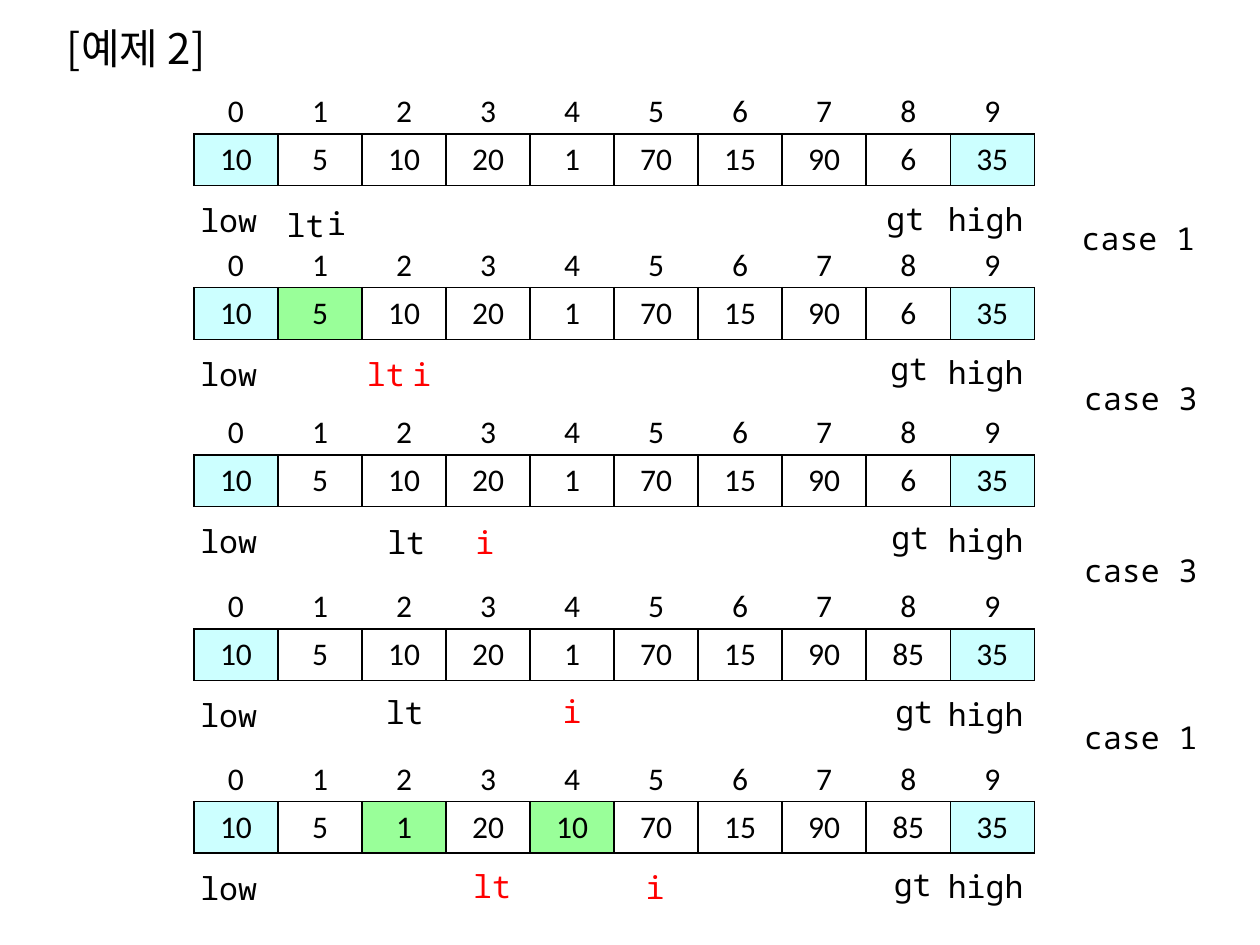
from lxml.etree import SubElement
from pptx import Presentation
from pptx.dml.color import RGBColor
from pptx.enum.text import MSO_ANCHOR as Anchor, MSO_AUTO_SIZE as AutoSize, PP_ALIGN as Align
from pptx.oxml.ns import qn
from pptx.util import Cm, Pt

BLACK, RED, CYAN, GREEN = "000000", "FF0000", "CCFFFF", "99FF99"
MONO, SANS, KOREAN = "Noto Sans Mono", "Calibri", "Noto Sans CJK KR"
ARRAY_LEFT, ARRAY_WIDTH = 3.91, 16.94
ROW_HEIGHT, VALUES_OFFSET = 1.04, 0.97
LABEL_HEIGHT = 1.02
LABEL_WIDTHS = {"low": 1.8, "high": 2.36, "lt": 1.8, "i": 1.17, "gt": 1.5}
CASE_WIDTH = 2.82

START = [10, 5, 10, 20, 1, 70, 15, 90, 6, 35]
GT_REPLACED = START[:8] + [85, 35]
SWAPPED = [10, 5, 1, 20, 10, 70, 15, 90, 85, 35]

# Marker and case positions are measured from the top left of their step.
STEPS = [
    {"top": 1.73, "numbers": START, "changed": [], "red": [],
     "markers": {"lt": (1.35, 2.29), "i": (2.29, 2.26), "gt": (13.59, 2.16)},
     "case": ("case 1", 17.63, 2.57)},
    {"top": 4.83, "numbers": START, "changed": [1], "red": ["lt", "i"],
     "markers": {"lt": (2.97, 2.21), "i": (4.01, 2.21), "gt": (13.67, 2.08)},
     "case": ("case 3", 17.68, 2.69)},
    {"top": 8.2, "numbers": START, "changed": [], "red": ["i"],
     "markers": {"lt": (3.38, 2.21), "i": (5.28, 2.21), "gt": (13.69, 2.11)},
     "case": ("case 3", 17.68, 2.79)},
    {"top": 11.71, "numbers": GT_REPLACED, "changed": [], "red": ["i"],
     "markers": {"lt": (3.35, 2.13), "i": (7.04, 2.11), "gt": (13.77, 2.11)},
     "case": ("case 1", 17.68, 2.64)},
    {"top": 15.19, "numbers": SWAPPED, "changed": [2, 4], "red": ["lt", "i"],
     "markers": {"lt": (5.11, 2.16), "i": (8.71, 2.18), "gt": (13.74, 2.13)},
     "case": None},
]


def rgb(code):
    return RGBColor.from_string(code)


def write(text_frame, wording, size, typeface, colour):
    paragraph = text_frame.paragraphs[0]
    paragraph.alignment = Align.CENTER
    run = paragraph.add_run()
    run.text = wording
    font_format = {"size": Pt(size), "name": typeface, "bold": False}
    for attribute, setting in font_format.items():
        setattr(run.font, attribute, setting)
    run.font.color.rgb = rgb(colour)
    return run


def add_label(slide, box, wording, size=18, typeface=MONO, colour=BLACK):
    label = slide.shapes.add_textbox(*map(Cm, box))
    frame_format = {"word_wrap": True, "auto_size": AutoSize.SHAPE_TO_FIT_TEXT}
    for attribute, setting in frame_format.items():
        setattr(label.text_frame, attribute, setting)
    return write(label.text_frame, wording, size, typeface, colour)


def outline(cell):
    properties = cell._tc.get_or_add_tcPr()
    for side in ("a:lnL", "a:lnR", "a:lnT", "a:lnB"):
        border = SubElement(properties, qn(side), w=str(Pt(1)))
        fill = SubElement(border, qn("a:solidFill"))
        SubElement(fill, qn("a:srgbClr"), val=BLACK)


def add_row(slide, box, numbers, fills=None, bordered=False):
    table = slide.shapes.add_table(1, len(numbers), *map(Cm, box)).table
    table.first_row = table.horz_banding = False
    for index, number in enumerate(numbers):
        table.columns[index].width = Cm(box[2] / len(numbers))
        cell = table.cell(0, index)
        cell.vertical_anchor = Anchor.MIDDLE
        if bordered:
            outline(cell)
        if fills and index in fills:
            cell.fill.solid()
            cell.fill.fore_color.rgb = rgb(fills[index])
        else:
            cell.fill.background()
        write(cell.text_frame, str(number), 18, SANS, BLACK)


def add_step(slide, left, top, width, step):
    """Draw the indices, the array, its markers and the case that follows."""
    numbers = step["numbers"]
    last = len(numbers) - 1
    fills = {0: CYAN, last: CYAN, **dict.fromkeys(step["changed"], GREEN)}
    add_row(slide, (left, top, width, ROW_HEIGHT), range(len(numbers)))
    add_row(slide, (left, top + VALUES_OFFSET, width, ROW_HEIGHT), numbers, fills, True)

    markers = {"low": (-0.2, 2.2), "high": (width - 2.16, 2.17), **step["markers"]}
    for marker, (across, down) in markers.items():
        box = (left + across, top + down, LABEL_WIDTHS[marker], LABEL_HEIGHT)
        add_label(slide, box, marker, colour=RED if marker in step["red"] else BLACK)

    if step["case"]:
        case, across, down = step["case"]
        add_label(slide, (left + across, top + down, CASE_WIDTH, LABEL_HEIGHT), case)


def add_title(slide, box):
    run = add_label(slide, box, "[예제 2]", 24, KOREAN)
    SubElement(run.font._element, qn("a:ea"), typeface=KOREAN)


def main():
    presentation = Presentation()
    presentation.slide_width, presentation.slide_height = Cm(25.4), Cm(19.05)
    slide = presentation.slides.add_slide(presentation.slide_layouts[6])
    for step in STEPS:
        add_step(slide, ARRAY_LEFT, step["top"], ARRAY_WIDTH, step)
    add_title(slide, (0.89, 0.33, 3.71, 1.27))
    presentation.save("out.pptx")


if __name__ == "__main__":
    main()
